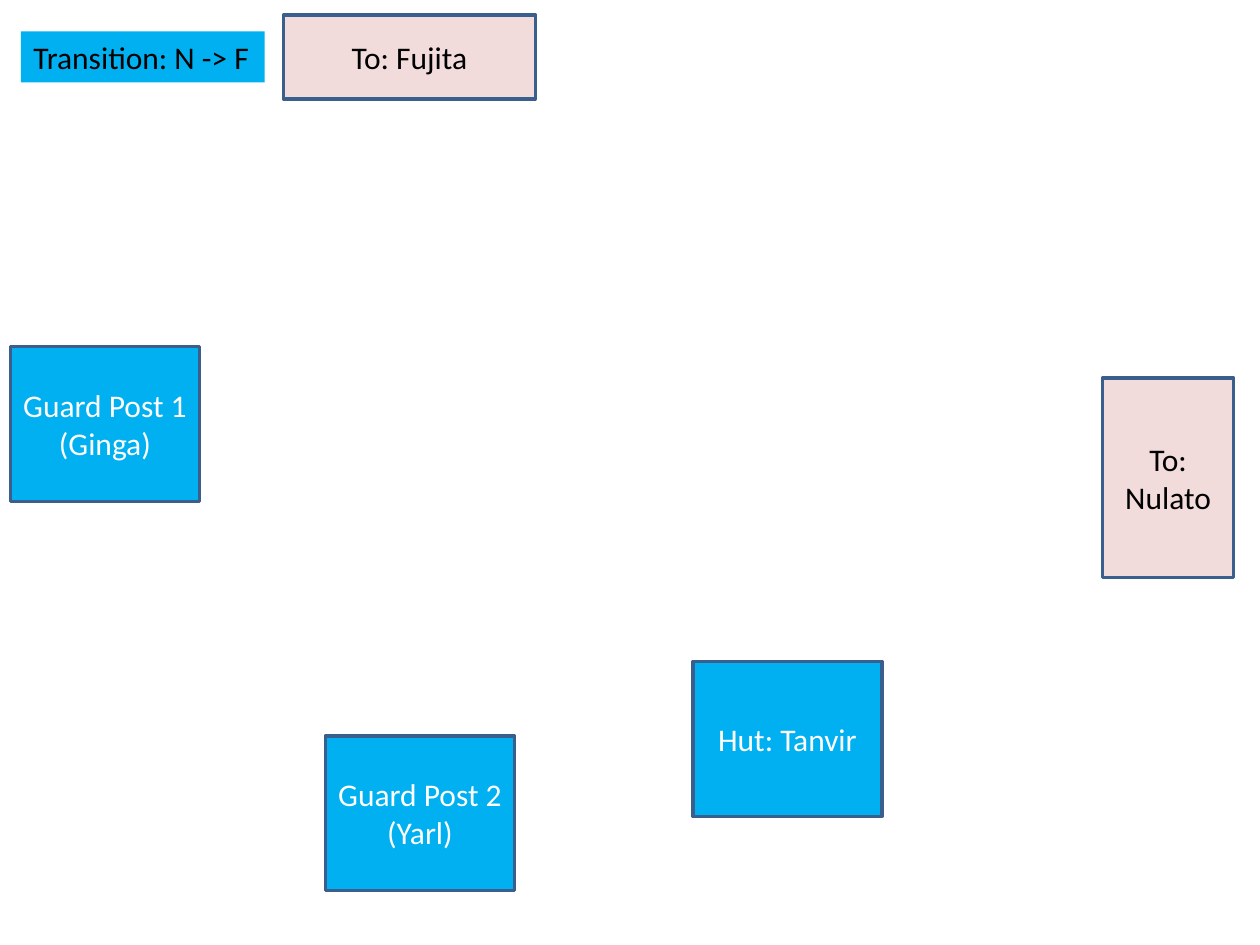
from pptx import Presentation
from pptx.dml.color import RGBColor
from pptx.enum.shapes import MSO_SHAPE
from pptx.enum.text import MSO_ANCHOR, MSO_AUTO_SIZE, PP_ALIGN
from pptx.util import Pt

RECT = MSO_SHAPE.RECTANGLE
MIDDLE = MSO_ANCHOR.MIDDLE
CENTER = PP_ALIGN.CENTER
GROW = MSO_AUTO_SIZE.SHAPE_TO_FIT_TEXT

BLUE, PINK, EDGE = "00B0F0", "F2DCDB", "3A5F8C"
BLACK, WHITE = "000000", "FFFFFF"
POST = (108, 88.56)


def paint(target, color):
    target.solid()
    target.fore_color.rgb = RGBColor.from_string(color)


def write(shape, text, color):
    para = shape.text_frame.paragraphs[0]
    para.text = text
    para.font.name = "Calibri"
    para.font.size = Pt(18)
    paint(para.font.fill, color)
    return para


def add_title(slide, box, text):
    label = slide.shapes.add_textbox(*map(Pt, box))
    paint(label.fill, BLUE)
    label.text_frame.word_wrap = False
    label.text_frame.auto_size = GROW
    write(label, text, BLACK)


def add_place(slide, box, text, fill, color):
    place = slide.shapes.add_shape(RECT, *map(Pt, box))
    place.shadow.inherit = False
    paint(place.fill, fill)
    paint(place.line.fill, EDGE)
    place.line.width = Pt(2)
    place.text_frame.word_wrap = True
    place.text_frame.vertical_anchor = MIDDLE
    write(place, text, color).alignment = CENTER


def add_exit(slide, box, town):
    add_place(slide, box, f"To: {town}", PINK, BLACK)


def add_post(slide, left, top, text):
    add_place(slide, (left, top, *POST), text, BLUE, WHITE)


def main():
    deck = Presentation()
    deck.slide_width, deck.slide_height = Pt(720), Pt(540)
    slide = deck.slides.add_slide(deck.slide_layouts[6])
    add_title(slide, (12, 18, 139.2, 29.08), "Transition: N -> F")
    add_exit(slide, (630, 216, 75, 114), "Nulato")
    add_exit(slide, (162, 8.5, 144, 48), "Fujita")
    add_post(slide, 396, 378, "Hut: Tanvir")
    add_post(slide, 186, 420.5, "Guard Post 2 (Yarl)")
    add_post(slide, 6, 198, "Guard Post 1 (Ginga)")
    deck.save("out.pptx")


if __name__ == "__main__":
    main()
